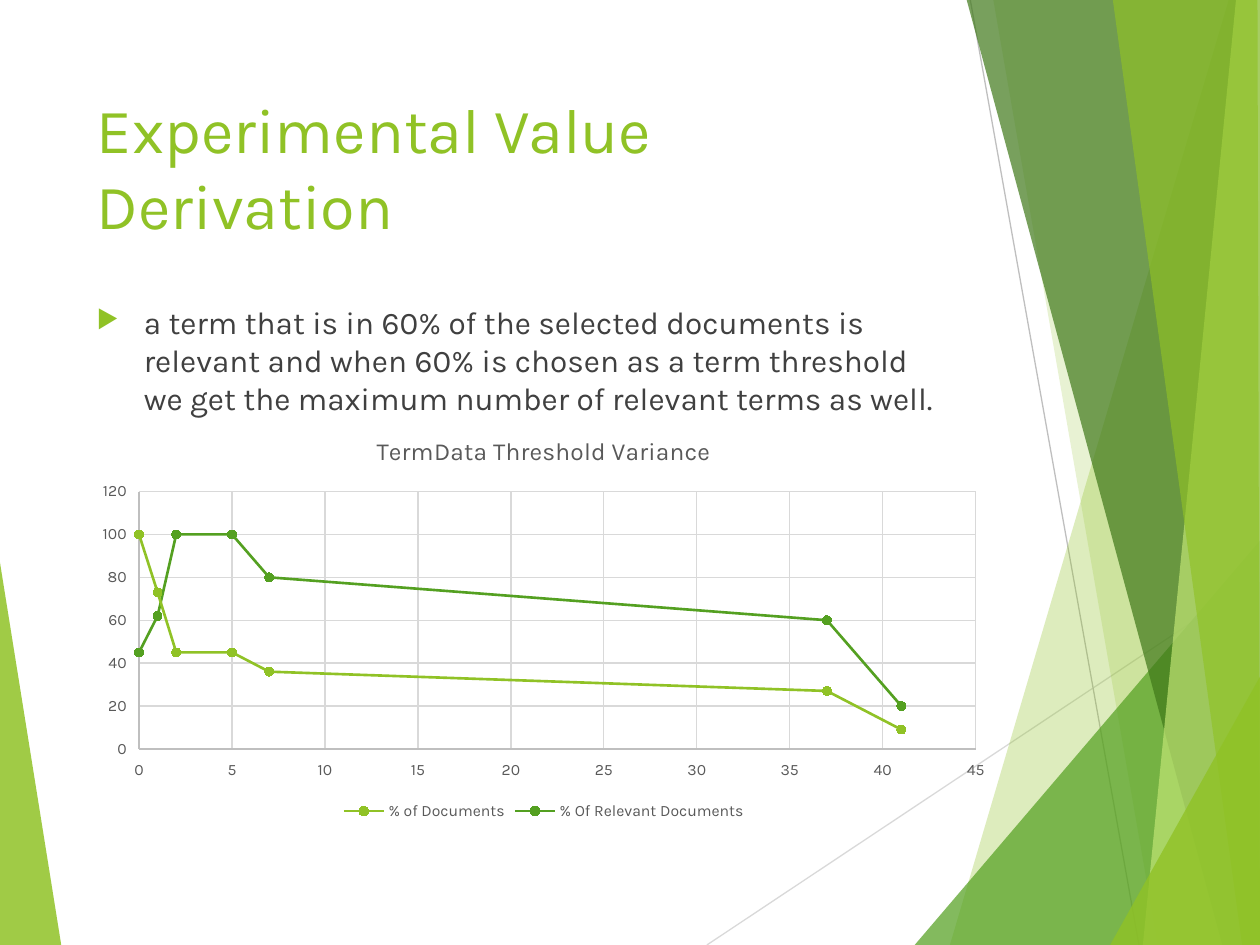
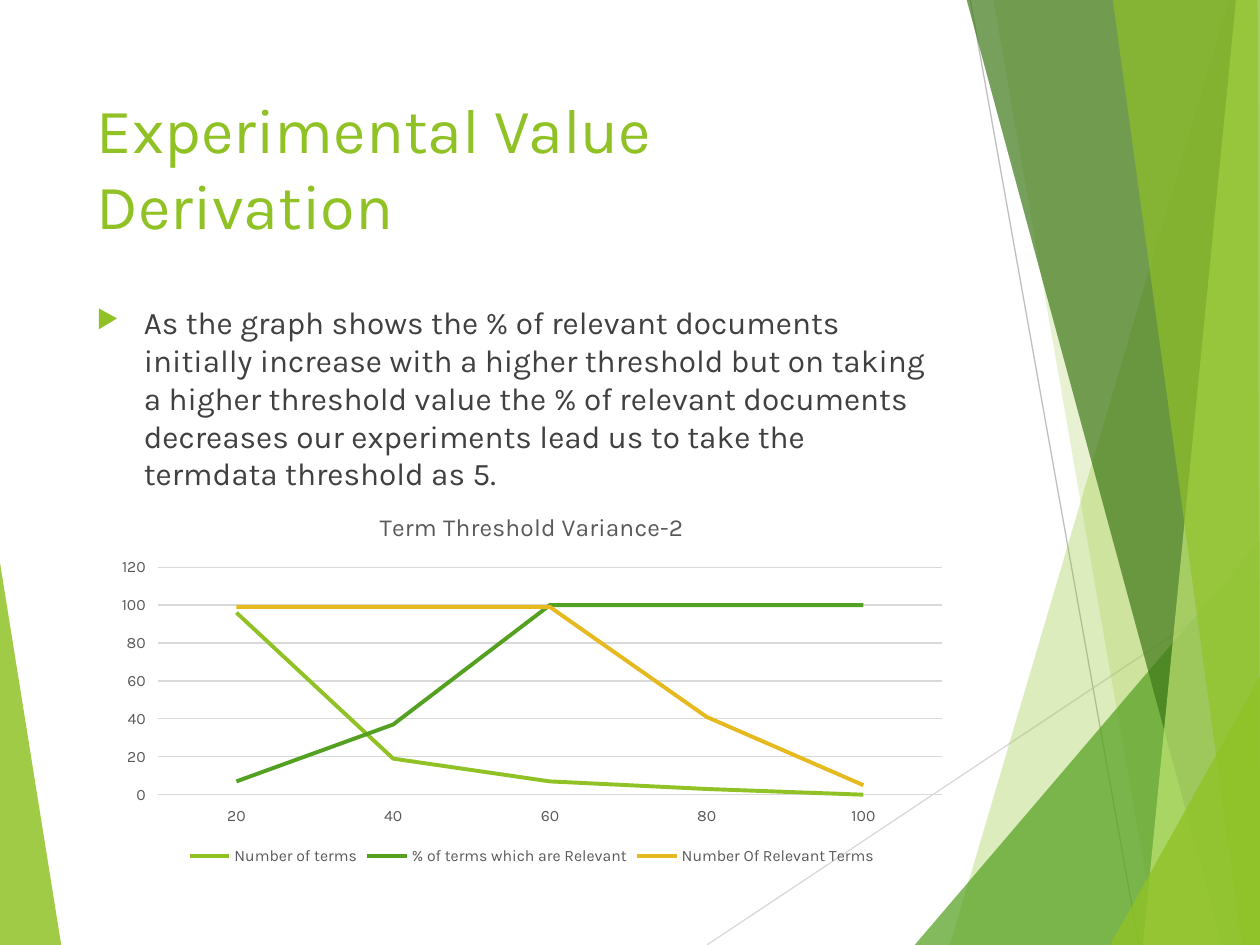
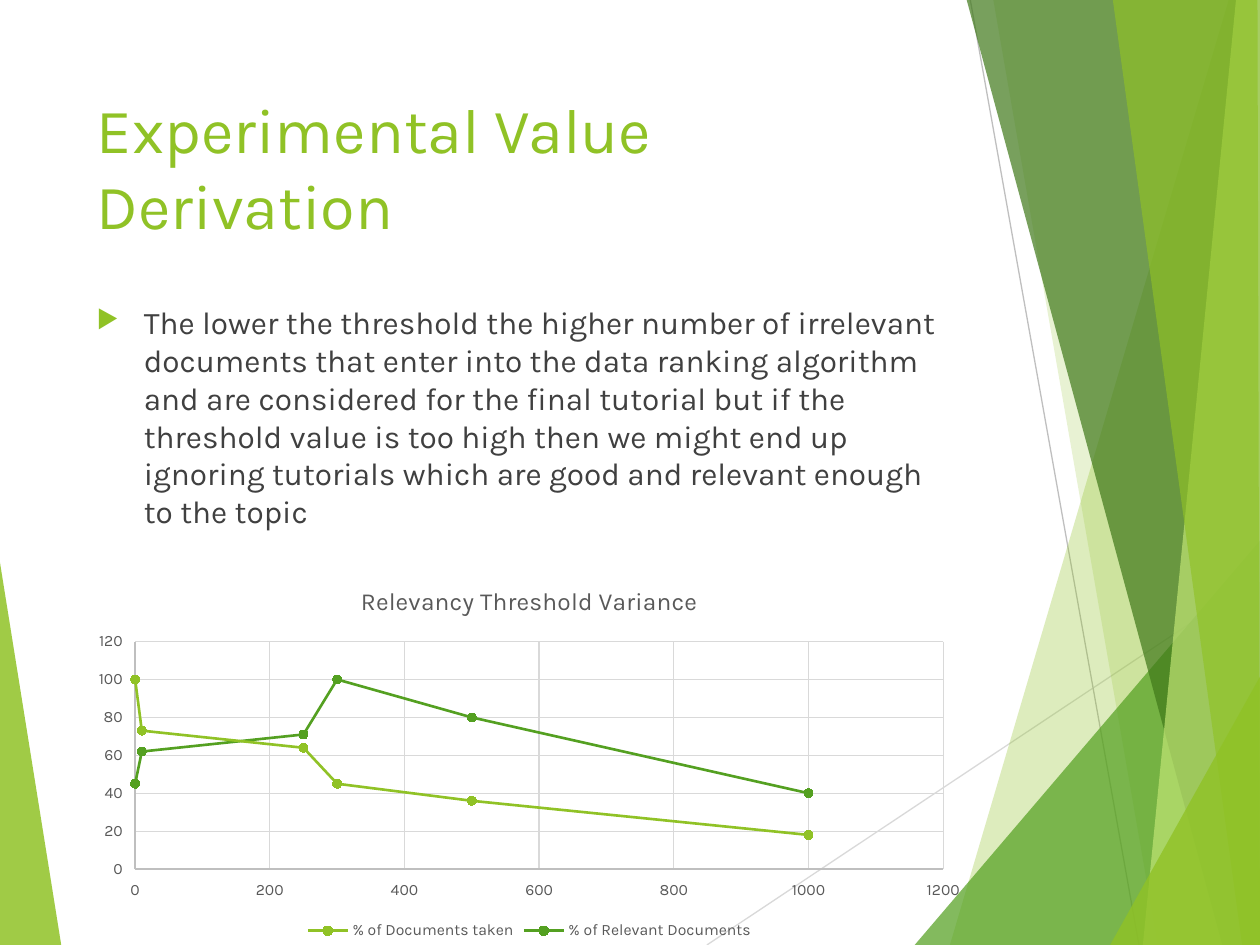
from dataclasses import dataclass

from lxml import etree
from pptx import Presentation
from pptx.chart.data import CategoryChartData, XyChartData
from pptx.dml.color import RGBColor
from pptx.enum.chart import (XL_CHART_TYPE, XL_LEGEND_POSITION, XL_MARKER_STYLE,
                             XL_TICK_LABEL_POSITION, XL_TICK_MARK)
from pptx.enum.shapes import MSO_CONNECTOR
from pptx.enum.text import MSO_ANCHOR
from pptx.oxml.ns import qn
from pptx.util import Cm, Pt

SCATTER = XL_CHART_TYPE.XY_SCATTER_LINES
LINE = XL_CHART_TYPE.LINE
LEGEND_BOTTOM = XL_LEGEND_POSITION.BOTTOM
CIRCLE = XL_MARKER_STYLE.CIRCLE
NO_MARKER = XL_MARKER_STYLE.NONE
NO_TICK = XL_TICK_MARK.NONE
LABELS_LOW = XL_TICK_LABEL_POSITION.LOW
STRAIGHT = MSO_CONNECTOR.STRAIGHT
TOP_ANCHOR = MSO_ANCHOR.TOP

# Shared style
FONT = "Karla"
LIME, GREEN, GOLD = "90C226", "54A021", "E6B91E"
DARK_GREEN, PALE_LIME = "3F7819", "C0E474"
BODY_TEXT, CHART_TEXT = "404040", "595959"
GRID_GREY, AXIS_GREY = "D9D9D9", "BFBFBF"
SERIES_COLOURS = (LIME, GREEN, GOLD)
TITLE = "Experimental Value Derivation"

# Slide edges in cm; the bands run slightly past them
WIDTH, HEIGHT = 25.4, 19.05
LEFT, TOP, RIGHT = -0.03, -0.03, 25.43
TEXT_LEFT, TEXT_WIDTH = 1.7, 17.63

Point = tuple[float, float]


@dataclass(frozen=True)
class Band:
    points: tuple[Point, ...]
    colour: str
    opacity: int


@dataclass(frozen=True)
class Ray:
    start: Point
    end: Point
    colour: str


@dataclass(frozen=True)
class Series:
    name: str
    values: tuple[float, ...]


@dataclass(frozen=True)
class ChartSlide:
    body: str
    chart_title: str
    kind: XL_CHART_TYPE
    area: tuple[float, float, float, float]
    positions: tuple[int, ...]
    series: tuple[Series, ...]
    x_max: int = 0
    x_step: int = 0


DECORATION = (
    Band(((LEFT, 11.15), (1.24, 19.08), (LEFT, HEIGHT)), LIME, 85),
    Ray((14.25, HEIGHT), (RIGHT, 11.61), GRID_GREY),
    Ray((19.56, 0), (22.96, HEIGHT), AXIS_GREY),
    Band(((24.77, 0), (19.15, HEIGHT), (25.45, 19.08), (RIGHT, 0)), LIME, 30),
    Band(((20.02, TOP), (23.34, HEIGHT), (RIGHT, HEIGHT), (RIGHT, TOP)), LIME, 20),
    Band(((18.44, HEIGHT), (WIDTH, 10.9), (RIGHT, HEIGHT)), GREEN, 72),
    Band(((19.48, TOP), (24.64, HEIGHT), (RIGHT, HEIGHT), (RIGHT, TOP)), DARK_GREEN, 70),
    Band(((24.92, TOP), (23.04, HEIGHT), (RIGHT, HEIGHT), (WIDTH, TOP)), PALE_LIME, 70),
    Band(((22.43, TOP), (25.04, HEIGHT), (WIDTH, HEIGHT), (25.35, TOP)), LIME, 65),
    Band(((22.38, HEIGHT), (RIGHT, 13.59), (RIGHT, HEIGHT)), LIME, 80),
)

SLIDES = (
    ChartSlide(
        "a term that is in 60% of the selected documents is relevant and when 60% is "
        "chosen as a term threshold we get the maximum number of relevant terms as well.",
        "TermData Threshold Variance", SCATTER, (1.7, 8.38, 18.52, 8.26),
        (0, 1, 2, 5, 7, 37, 41),
        (Series("% of Documents", (100, 73, 45, 45, 36, 27, 9)),
         Series("% Of Relevant Documents", (45, 62, 100, 100, 80, 60, 20))),
        x_max=45, x_step=5),
    ChartSlide(
        "As the graph shows the % of relevant documents initially increase with a higher "
        "threshold but on taking a higher threshold value the % of relevant documents "
        "decreases our experiments lead us to take the termdata threshold as 5.",
        "Term Threshold Variance-2", LINE, (2.11, 9.93, 17.22, 7.62),
        (20, 40, 60, 80, 100),
        (Series("Number of terms", (96, 19, 7, 3, 0)),
         Series("% of terms which are Relevant", (7, 37, 100, 100, 100)),
         Series("Number Of Relevant Terms", (99, 99, 99, 41, 5)))),
    ChartSlide(
        "The lower the threshold the higher number of irrelevant documents that enter "
        "into the data ranking algorithm and are considered for the final tutorial but "
        "if the threshold value is too high then we might end up ignoring tutorials "
        "which are good and relevant enough to the topic",
        "Relevancy Threshold Variance", SCATTER, (1.63, 11.43, 18.08, 7.62),
        (0, 10, 250, 300, 500, 1000),
        (Series("% of Documents taken", (100, 73, 64, 45, 36, 18)),
         Series("% of Relevant Documents", (45, 62, 71, 100, 80, 40))),
        x_max=1200, x_step=200),
)


def rgb(colour: str) -> RGBColor:
    return RGBColor.from_string(colour)


def style_font(font, size: float, colour: str) -> None:
    font.name = FONT
    font.size = Pt(size)
    font.bold = False
    font.color.rgb = rgb(colour)


def style_line(line, colour: str, width: float = 0.75) -> None:
    line.color.rgb = rgb(colour)
    line.width = Pt(width)


# Decoration
def draw_band(page, band: Band) -> None:
    points = [(Cm(x), Cm(y)) for x, y in band.points]
    builder = page.shapes.build_freeform(*points[0])
    builder.add_line_segments(points[1:], close=True)
    shape = builder.convert_to_shape()
    shape.shadow.inherit = False
    shape.line.fill.background()
    shape.fill.solid()
    shape.fill.fore_color.rgb = rgb(band.colour)
    colour = shape.fill._xPr.find(qn("a:solidFill")).find(qn("a:srgbClr"))
    etree.SubElement(colour, qn("a:alpha"), val=str(band.opacity * 1000))


def draw_ray(page, ray: Ray) -> None:
    start, end = ray.start, ray.end
    connector = page.shapes.add_connector(
        STRAIGHT, Cm(start[0]), Cm(start[1]), Cm(end[0]), Cm(end[1]))
    style_line(connector.line, ray.colour)
    etree.SubElement(connector._element.spPr, qn("a:effectLst"))


def draw_decoration(page) -> None:
    for item in DECORATION:
        if isinstance(item, Band):
            draw_band(page, item)
        else:
            draw_ray(page, item)


# Text
def add_text(page, text: str, top: float, height: float, size: float, colour: str):
    box = page.shapes.add_textbox(Cm(TEXT_LEFT), Cm(top), Cm(TEXT_WIDTH), Cm(height))
    frame = box.text_frame
    frame.word_wrap = True
    frame.vertical_anchor = TOP_ANCHOR
    para = frame.paragraphs[0]
    para.text = text
    style_font(para.font, size, colour)
    return para


def add_bullet(para) -> None:
    para.space_before = Pt(10)
    properties = para._p.get_or_add_pPr()
    properties.set("marL", str(Cm(0.95)))
    properties.set("indent", str(-Cm(0.95)))
    colour = etree.SubElement(properties, qn("a:buClr"))
    etree.SubElement(colour, qn("a:srgbClr"), val=LIME)
    etree.SubElement(properties, qn("a:buSzPct"), val="80000")
    etree.SubElement(properties, qn("a:buChar"), char="▶")
    # The default run properties come after the bullet in the schema
    default_run = properties.find(qn("a:defRPr"))
    if default_run is not None:
        properties.append(default_run)


# Charts
def chart_data(content: ChartSlide):
    if content.kind == LINE:
        data = CategoryChartData()
        data.categories = [str(position) for position in content.positions]
        for series in content.series:
            data.add_series(series.name, series.values)
        return data
    data = XyChartData()
    for series in content.series:
        points = data.add_series(series.name)
        for x, y in zip(content.positions, series.values):
            points.add_data_point(x, y)
    return data


def style_axis(axis, line_colour: str, grid: bool) -> None:
    axis.major_tick_mark = NO_TICK
    axis.minor_tick_mark = NO_TICK
    axis.tick_label_position = LABELS_LOW
    style_font(axis.tick_labels.font, 9, CHART_TEXT)
    if line_colour:
        style_line(axis.format.line, line_colour)
    else:
        axis.format.line.fill.background()
    axis.has_major_gridlines = grid
    if grid:
        style_line(axis.major_gridlines.format.line, GRID_GREY)


def set_scale(axis, maximum: int, step: int) -> None:
    axis.minimum_scale = 0
    axis.maximum_scale = maximum
    axis.major_unit = step


def style_series(series, colour: str, scatter: bool) -> None:
    style_line(series.format.line, colour, 1.5 if scatter else 2.25)
    if not scatter:
        series.smooth = False
        series.marker.style = NO_MARKER
        return
    marker = series.marker
    marker.style = CIRCLE
    marker.size = 5
    marker.format.fill.solid()
    marker.format.fill.fore_color.rgb = rgb(colour)
    style_line(marker.format.line, colour)


def add_chart(page, content: ChartSlide) -> None:
    scatter = content.kind == SCATTER
    area = [Cm(length) for length in content.area]
    chart = page.shapes.add_chart(content.kind, *area, chart_data(content)).chart
    style_font(chart.font, 10, "000000")

    chart.has_title = True
    title = chart.chart_title
    title.include_in_layout = False
    para = title.text_frame.paragraphs[0]
    para.text = content.chart_title
    style_font(para.font, 14, CHART_TEXT)

    chart.has_legend = True
    chart.legend.position = LEGEND_BOTTOM
    chart.legend.include_in_layout = False
    style_font(chart.legend.font, 9, CHART_TEXT)

    style_axis(chart.category_axis, AXIS_GREY if scatter else GRID_GREY, scatter)
    style_axis(chart.value_axis, AXIS_GREY if scatter else "", True)
    set_scale(chart.value_axis, 120, 20)
    if scatter:
        set_scale(chart.category_axis, content.x_max, content.x_step)

    plot = chart.plots[0]
    plot.vary_by_categories = False
    for series, colour in zip(plot.series, SERIES_COLOURS):
        style_series(series, colour, scatter)


def add_slide(deck, content: ChartSlide) -> None:
    page = deck.slides.add_slide(deck.slide_layouts[6])
    draw_decoration(page)
    add_text(page, TITLE, 1.7, 3.66, 36, LIME)
    add_bullet(add_text(page, content.body, 5.99, 10.77, 18, BODY_TEXT))
    add_chart(page, content)


def main() -> None:
    deck = Presentation()
    deck.slide_width = Cm(WIDTH)
    deck.slide_height = Cm(HEIGHT)
    for content in SLIDES:
        add_slide(deck, content)
    deck.save("out.pptx")


main()
